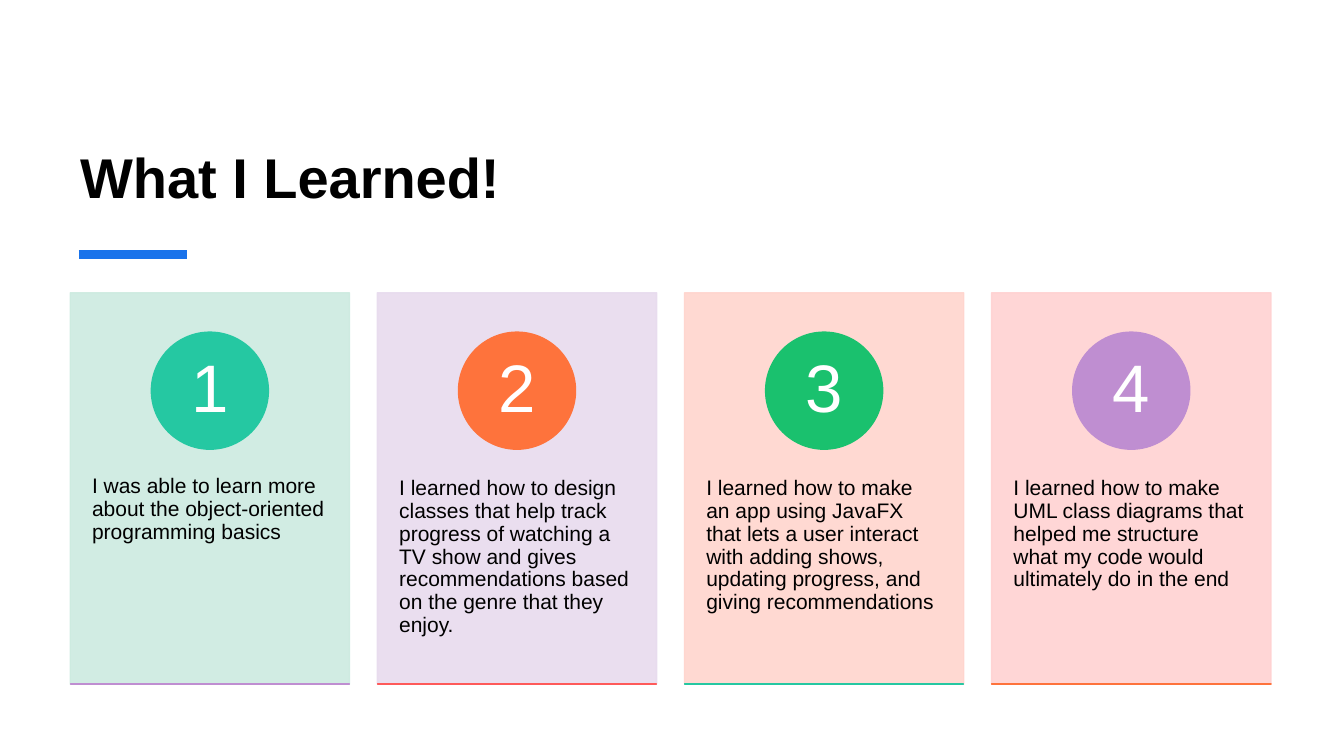
from lxml.etree import SubElement
from pptx import Presentation
from pptx.dml.color import RGBColor
from pptx.enum.shapes import MSO_CONNECTOR, MSO_SHAPE
from pptx.enum.text import MSO_ANCHOR, PP_ALIGN
from pptx.oxml.ns import qn
from pptx.util import Cm, Pt

FONT = "Arial"
BLACK = RGBColor(0x00, 0x00, 0x00)
WHITE = RGBColor(0xFF, 0xFF, 0xFF)
BLUE = RGBColor(0x19, 0x73, 0xEB)
TEAL = RGBColor(0x25, 0xC8, 0xA2)
ORANGE = RGBColor(0xFE, 0x73, 0x3C)
GREEN = RGBColor(0x1A, 0xC1, 0x6E)
PURPLE = RGBColor(0xBF, 0x8E, 0xD1)
RED = RGBColor(0xFE, 0x5A, 0x5A)
PALE_TEAL = RGBColor(0xCD, 0xEB, 0xE0)
PALE_PURPLE = RGBColor(0xE8, 0xDB, 0xEE)
PALE_ORANGE = RGBColor(0xFF, 0xD5, 0xCE)
PALE_RED = RGBColor(0xFF, 0xD2, 0xD2)

CARD_LEFT, CARD_TOP = Cm(1.77), Cm(7.38)
CARD_WIDTH, CARD_HEIGHT = Cm(7.04), Cm(9.86)
CARD_PITCH = Cm(7.74)
CIRCLE_SIZE = Cm(2.95)

# Card fill, circle fill, base line colour, lesson
LESSONS = [
    (PALE_TEAL, TEAL, PURPLE,
     "I was able to learn more about the object-oriented programming basics"),
    (PALE_PURPLE, ORANGE, RED,
     "I learned how to design classes that help track progress of watching "
     "a TV show and gives recommendations based on the genre that they enjoy."),
    (PALE_ORANGE, GREEN, TEAL,
     "I learned how to make an app using JavaFX that lets a user interact "
     "with adding shows, updating progress, and giving recommendations"),
    (PALE_RED, PURPLE, ORANGE,
     "I learned how to make UML class diagrams that helped me structure "
     "what my code would ultimately do in the end"),
]


def add_filled_shape(page, kind, left, top, width, height, color):
    shape = page.shapes.add_shape(kind, left, top, width, height)
    shape.shadow.inherit = False
    shape.fill.solid()
    shape.fill.fore_color.rgb = color
    shape.line.color.rgb = color
    shape.line.width = Pt(1)
    return shape


def set_opacity(shape, percent):
    """Apply the same opacity to the fill and the outline."""
    for color in shape._element.spPr.iter(qn("a:srgbClr")):
        SubElement(color, qn("a:alpha"), val=str(percent * 1000))


def write_text(shape, text, size, color, margins, anchor=MSO_ANCHOR.TOP,
               align=PP_ALIGN.LEFT, bold=False):
    """Write one paragraph; margins are horizontal and vertical."""
    frame = shape.text_frame
    frame.text = text
    frame.word_wrap = True
    frame.vertical_anchor = anchor
    frame.margin_left = frame.margin_right = margins[0]
    frame.margin_top = frame.margin_bottom = margins[1]
    para = frame.paragraphs[0]
    para.alignment = align
    para.line_spacing = 0.9
    font = para.runs[0].font
    font.name = FONT
    font.size = Pt(size)
    font.bold = bold
    font.color.rgb = color


def add_title(page, text):
    box = page.shapes.add_textbox(Cm(1.77), Cm(1.57), Cm(30.25), Cm(3.86))
    write_text(box, text, 40, BLACK, (Cm(0.25), Cm(0.13)),
               anchor=MSO_ANCHOR.BOTTOM, bold=True)


def add_accent_line(page):
    line = page.shapes.add_connector(
        MSO_CONNECTOR.STRAIGHT, Cm(1.99), Cm(6.41), Cm(4.71), Cm(6.41))
    line.line.color.rgb = BLUE
    line.line.width = Pt(6)
    SubElement(line._element.spPr, qn("a:effectLst"))


def add_card(page, number, card_color, circle_color, base_color, lesson):
    left = CARD_LEFT + (number - 1) * CARD_PITCH
    card = add_filled_shape(page, MSO_SHAPE.RECTANGLE, left, CARD_TOP,
                            CARD_WIDTH, CARD_HEIGHT, card_color)
    set_opacity(card, 90)

    box = page.shapes.add_textbox(left, Cm(11.13), CARD_WIDTH, Cm(5.92))
    write_text(box, lesson, 15, BLACK, (Cm(0.55), Cm(0.91)))

    circle = add_filled_shape(
        page, MSO_SHAPE.OVAL, left + (CARD_WIDTH - CIRCLE_SIZE) // 2,
        Cm(8.37), CIRCLE_SIZE, CIRCLE_SIZE, circle_color)
    write_text(circle, str(number), 48, WHITE, (Cm(0.23), Cm(0.03)),
               anchor=MSO_ANCHOR.MIDDLE, align=PP_ALIGN.CENTER)

    add_filled_shape(page, MSO_SHAPE.RECTANGLE, left, CARD_TOP + CARD_HEIGHT,
                     CARD_WIDTH, Cm(0), base_color)


def main():
    deck = Presentation()
    deck.slide_width, deck.slide_height = Cm(33.87), Cm(19.05)
    page = deck.slides.add_slide(deck.slide_layouts[6])
    add_title(page, "What I Learned!")
    add_accent_line(page)
    for number, lesson in enumerate(LESSONS, start=1):
        add_card(page, number, *lesson)
    deck.save("out.pptx")


if __name__ == "__main__":
    main()
